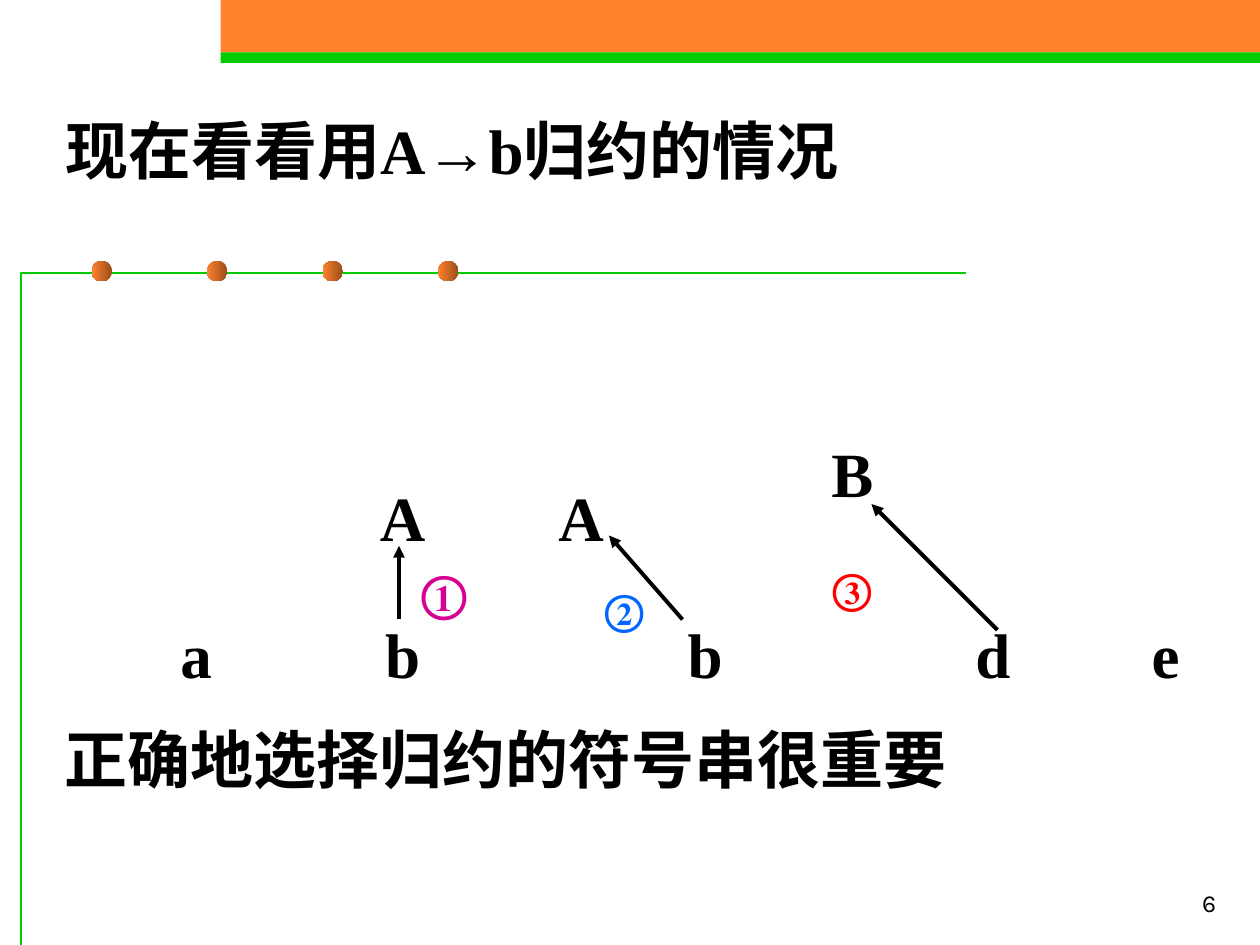
import pptx
import pptx.dml.color
import pptx.enum.shapes
import pptx.enum.text
import pptx.oxml.ns
import pptx.util
from lxml import etree

WIDTH, HEIGHT = 10, 7.5
COL, ROW = WIDTH / 120, HEIGHT / 90
SERIF = "Times New Roman"
ORANGE, GREEN, BROWN = "FF822D", "00CC00", "9A4E1B"


def x(cols):
    return pptx.util.Inches(cols * COL)


def y(rows):
    return pptx.util.Inches(rows * ROW)


def color(value):
    return pptx.dml.color.RGBColor.from_string(value)


def add_child(parent, tag, **attributes):
    return etree.SubElement(parent, pptx.oxml.ns.qn(tag), **attributes)


def add_block(s, kind, left, top, width, height, fill=None):
    sp = s.shapes.add_shape(kind, x(left), y(top), x(width), y(height))
    sp.shadow.inherit = False
    sp.line.fill.background()
    if fill:
        sp.fill.solid()
        sp.fill.fore_color.rgb = color(fill)
    return sp


def add_frame(s):
    builder = s.shapes.build_freeform(x(2), y(90))
    builder.add_line_segments([(x(2), y(26)), (x(92), y(26))], close=False)
    sp = builder.convert_to_shape()
    sp.shadow.inherit = False
    sp.fill.background()
    sp.line.color.rgb = color(GREEN)
    sp.line.width = pptx.util.Pt(0.75)


def add_dot(s, left):
    sp = add_block(s, pptx.enum.shapes.MSO_SHAPE.OVAL, left, 24.86, 1.94, 1.94)
    sp.fill.gradient()
    sp.fill.gradient_angle = 180
    for stop, value in zip(sp.fill.gradient_stops, (BROWN, ORANGE)):
        stop.color.rgb = color(value)


def add_arrow(s, x1, y1, x2, y2):
    connector = s.shapes.add_connector(
        pptx.enum.shapes.MSO_CONNECTOR.STRAIGHT, x(x1), y(y1), x(x2), y(y2))
    connector.line.color.rgb = color("000000")
    connector.line.width = pptx.util.Pt(2.25)
    add_child(connector.line._get_or_add_ln(), "a:tailEnd", type="triangle")
    add_child(connector._element.spPr, "a:effectLst")


def write(sp, text, size=36, fill="000000", font=SERIF, bold=True, before=0):
    tf = sp.text_frame
    tf.word_wrap = True
    p = tf.paragraphs[0]
    p.space_before = pptx.util.Pt(before)
    r = p.add_run()
    r.text = text
    r.font.size = pptx.util.Pt(size)
    r.font.name = font
    r.font.bold = bold
    r.font.color.rgb = color(fill)
    return p


def add_text(s, text, left, top, width, height=8.4, **style):
    sp = s.shapes.add_textbox(x(left), y(top), x(width), y(height))
    return sp, write(sp, text, **style)


def set_title(s, text):
    sp = s.shapes.title
    sp.left, sp.top, sp.width, sp.height = x(5), y(10), x(102), y(8.4)
    p = write(sp, text, before=22.5)
    p.alignment = pptx.enum.text.PP_ALIGN.LEFT
    sp.text_frame.vertical_anchor = pptx.enum.text.MSO_ANCHOR.TOP
    sp.text_frame.auto_size = pptx.enum.text.MSO_AUTO_SIZE.NONE


def add_symbols(s, symbols, stops):
    sp, p = add_text(s, "\t".join(symbols), 16, 58, 99, before=22.5)
    tabs = add_child(p._p.get_or_add_pPr(), "a:tabLst")
    for stop in stops:
        add_child(tabs, "a:tab", pos=str(x(stop)), algn="l")


def add_page_number(s, number):
    sp, p = add_text(s, number, 92, 82, 25, 6, size=14, font="Karla", bold=False)
    sp.text_frame.vertical_anchor = pptx.enum.text.MSO_ANCHOR.BOTTOM
    p.alignment = pptx.enum.text.PP_ALIGN.RIGHT


def main():
    prs = pptx.Presentation()
    prs.slide_width = pptx.util.Inches(WIDTH)
    prs.slide_height = pptx.util.Inches(HEIGHT)
    s = prs.slides.add_slide(prs.slide_layouts[5])

    rectangle = pptx.enum.shapes.MSO_SHAPE.RECTANGLE
    add_block(s, rectangle, 21, 0, 99, 5, ORANGE)
    add_block(s, rectangle, 21, 5, 99, 1, GREEN)
    add_frame(s)
    for i in range(4):
        add_dot(s, 8.72 + 11 * i)

    set_title(s, "现在看看用A→b归约的情况")
    for ends in ((38, 59, 38, 52), (65, 59, 58, 51), (95, 60, 83, 48)):
        add_arrow(s, *ends)
    add_symbols(s, "abbde", (19.5, 48.3, 75.7, 92.5))
    for text, left, top in (("A", 35, 45), ("A", 52, 45), ("B", 78, 40.8)):
        add_text(s, text, left, top, 8, before=22.5)
    for text, left, top, width, size, fill in (
            ("①", 39, 53, 7.1, 28, "D60093"),
            ("②", 56.4, 55, 7.2, 24, "0066FF"),
            ("③", 78.1, 53, 6.1, 24, "FF0000")):
        add_text(s, text, left, top, width, 6, size=size, fill=fill)
    add_text(s, "正确地选择归约的符号串很重要", 5, 68, 102, before=22.5)
    add_page_number(s, "6")
    prs.save("out.pptx")


if __name__ == "__main__":
    main()
